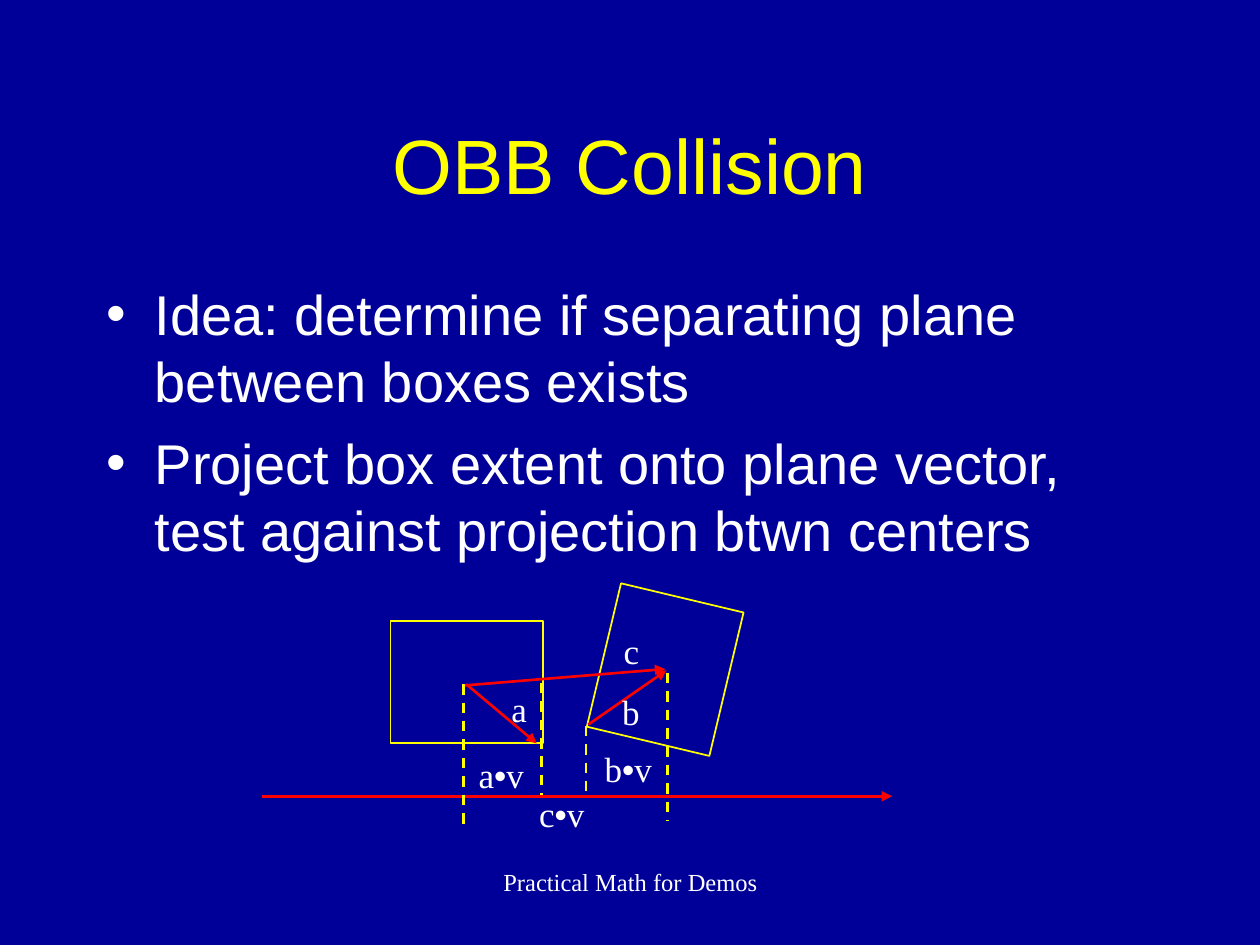
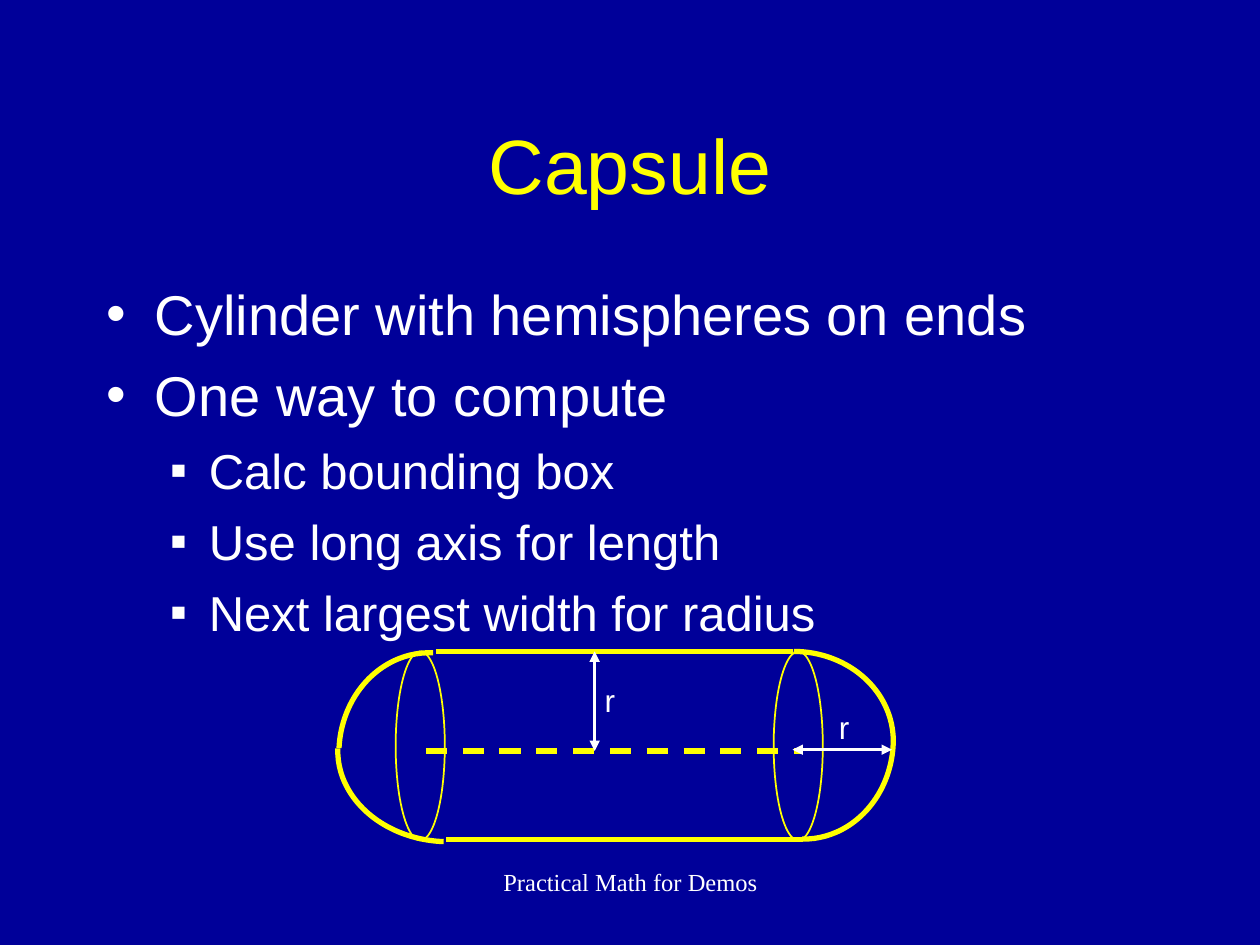
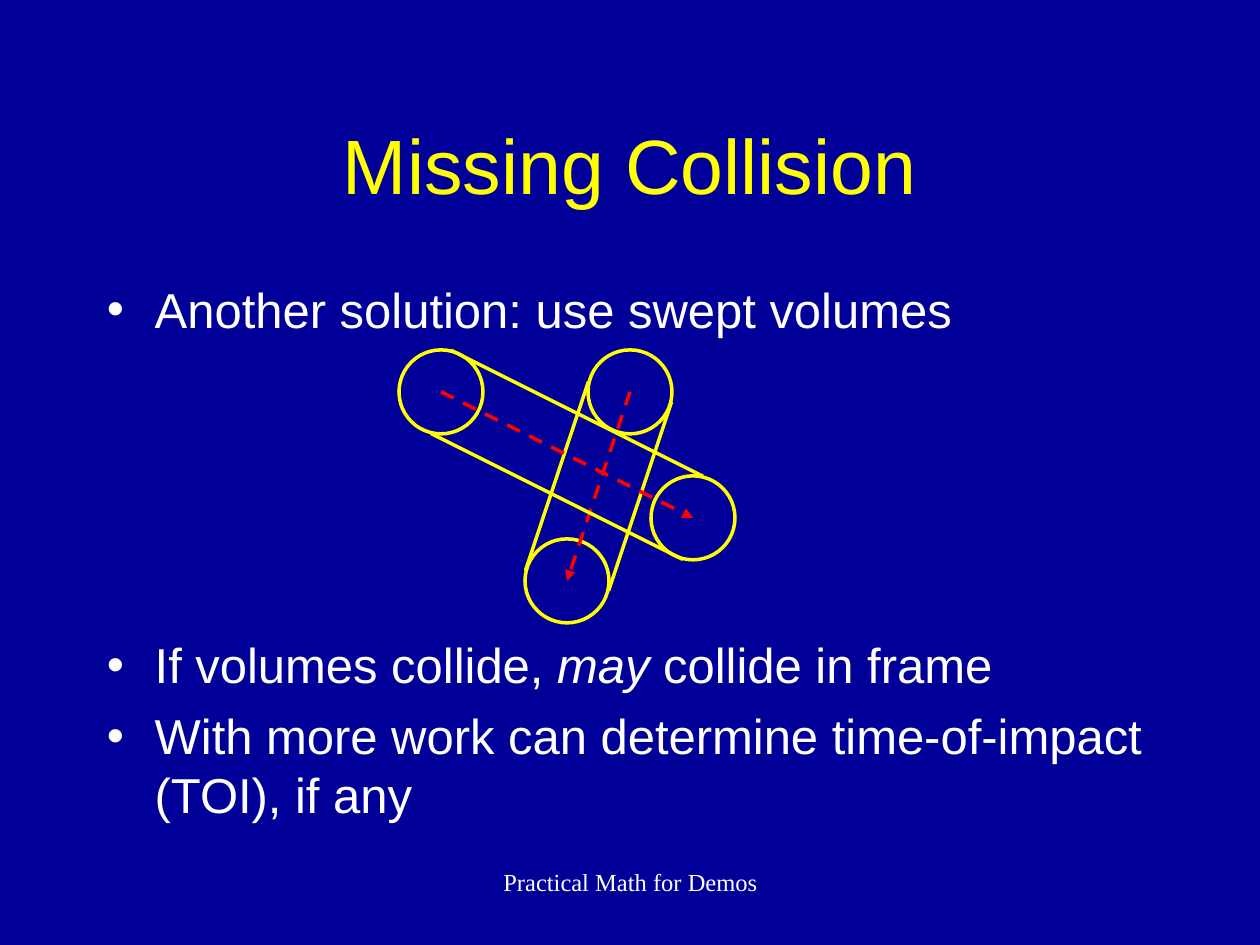
from dataclasses import dataclass

from lxml import etree
from pptx import Presentation, util as u
from pptx.dml.color import RGBColor
from pptx.enum import dml, shapes, text
from pptx.oxml.ns import qn


@dataclass(frozen=True)
class Theme:
    navy: str = "000099"
    yellow: str = "FFFF00"
    white: str = "FFFFFF"
    red: str = "FF0000"
    sans: str = "Arial"
    serif: str = "Times New Roman"
    title: int = 44
    body: int = 32
    sub: int = 28
    symbol: int = 20
    radius: int = 18
    footer: int = 14


T = Theme()
CENTER = text.PP_ALIGN.CENTER
TITLE = dict(size=T.title, name=T.sans, color=T.yellow, align=CENTER)
BODY = dict(size=T.body, name=T.sans, color=T.white, before=8,
            bullet="•", margin=0.38, hang=0.38)
COMPACT = dict(BODY, size=T.sub, before=7)
SUB = dict(COMPACT, bullet="▪", margin=0.81, hang=0.31, level=1)
SYMBOL = dict(size=T.symbol, name=T.serif, color=T.white, before=12.5)
RADIUS = dict(size=T.radius, name=T.sans, color=T.white, before=11.2)
FOOTER = dict(size=T.footer, name=T.serif, color=T.white, before=8.8, align=CENTER)


def add_text(s, box, paragraphs, **frame):
    """Add a text box of (style, runs) paragraphs; a run is (text, font changes)."""
    tf = s.shapes.add_textbox(*map(u.Inches, box)).text_frame
    for key, value in {"word_wrap": True, **frame}.items():
        setattr(tf, key, value)
    for i, (style, runs) in enumerate(paragraphs):
        p = tf.paragraphs[0] if i == 0 else tf.add_paragraph()
        p.level = style.get("level", 0)
        p.alignment = style.get("align", text.PP_ALIGN.LEFT)
        p.space_before = u.Pt(style.get("before", 0))
        if "bullet" in style:
            pPr = p._p.get_or_add_pPr()
            pPr.set("marL", str(u.Inches(style["margin"])))
            pPr.set("indent", str(-u.Inches(style["hang"])))
            clr = etree.SubElement(pPr, qn("a:buClr"))
            etree.SubElement(clr, qn("a:srgbClr"), val=style["color"])
            etree.SubElement(pPr, qn("a:buFont"), typeface=T.sans)
            etree.SubElement(pPr, qn("a:buChar"), char=style["bullet"])
        for words, changes in runs:
            r = p.add_run()
            r.text = words
            font = {"name": style["name"], "size": u.Pt(style["size"]), **changes}
            for key, value in font.items():
                setattr(r.font, key, value)
            r.font.color.rgb = RGBColor.from_string(style["color"])


def set_line(sp, color, width, dash=False, arrows=()):
    sp.line.color.rgb = RGBColor.from_string(color)
    sp.line.width = u.Pt(width)
    if dash:
        sp.line.dash_style = dml.MSO_LINE.DASH
    ln = sp.element.spPr.find(qn("a:ln"))
    for end in arrows:
        etree.SubElement(ln, qn(f"a:{end}"), type="triangle")


RECT = shapes.MSO_SHAPE.RECTANGLE
OVAL = shapes.MSO_SHAPE.OVAL
ARC = shapes.MSO_SHAPE.ARC
TAIL, BOTH = ["tailEnd"], ["headEnd", "tailEnd"]

thin = dict(color=T.yellow, width=1)
thick = dict(color=T.yellow, width=3)
vector = dict(color=T.red, width=1.5, arrows=TAIL)
projection = dict(color=T.yellow, width=1.5, dash=True)
measure = dict(color=T.white, width=1.5, arrows=BOTH)
volume = dict(color=T.yellow, width=2)
motion = dict(color=T.red, width=2, dash=True, arrows=TAIL)

# Each outline is (shape, box, rotation, line); each line is (ends, line);
# each label is (left, top, width, style, words).
obb = dict(
    title="OBB Collision",
    body=[(BODY, [("Idea: determine if separating plane between boxes exists", {})]),
          (BODY, [("Project box extent onto plane vector, "
                   "test against projection btwn centers", {})])],
    outlines=[(RECT, (3.1, 4.93, 1.21, 0.97), 0, thin),
              (RECT, (4.78, 4.73, 1, 1.17), 13.4, thin)],
    lines=[((2.08, 6.32, 7.08, 6.32), vector),
           ((3.7, 5.43, 4.26, 5.9), vector),
           ((4.67, 5.75, 5.29, 5.32), vector),
           ((3.68, 5.43, 3.68, 6.55), projection),
           ((4.3, 5.42, 4.3, 6.31), projection),
           ((4.65, 5.76, 4.65, 6.3), projection),
           ((5.3, 5.34, 5.3, 6.52), projection),
           ((3.69, 5.44, 5.28, 5.31), vector)],
    labels=[(4.18, 6.24, 0.57, SYMBOL, "c•v"), (4.7, 5.88, 0.59, SYMBOL, "b•v"),
            (3.7, 5.93, 0.57, SYMBOL, "a•v"), (3.96, 5.41, 0.32, SYMBOL, "a"),
            (4.84, 5.43, 0.34, SYMBOL, "b"), (4.85, 4.95, 0.32, SYMBOL, "c")])

capsule = dict(
    title="Capsule",
    body=[(BODY, [("Cylinder with hemispheres on ends", {})]),
          (BODY, [("One way to compute", {})]),
          (SUB, [("Calc bounding box", {})]),
          (SUB, [("Use long axis for length", {})]),
          (SUB, [("Next largest width for radius", {})])],
    outlines=[(ARC, (5.51, 5.17, 1.58, 1.42), 0, thick),
              (ARC, (5.59, 5.16, 1.58, 1.42), 90.9, thick),
              (ARC, (2.68, 5.26, 1.73, 1.42), 182, thick),
              (ARC, (2.61, 5.26, 1.58, 1.42), 272.7, thick),
              (OVAL, (3.14, 5.17, 0.39, 1.5), 0, thin),
              (OVAL, (6.14, 5.17, 0.39, 1.5), 0, thin)],
    lines=[((6.29, 5.17, 3.46, 5.17), thick),
           ((6.37, 6.66, 3.54, 6.66), thick),
           ((3.38, 5.96, 6.37, 5.96), dict(thick, dash=True)),
           ((4.72, 5.17, 4.72, 5.96), measure),
           ((7.08, 5.95, 6.29, 5.95), measure)],
    labels=[(4.7, 5.36, 0.28, RADIUS, "r"), (6.56, 5.57, 0.28, RADIUS, "r")])

# The second bullet leaves room for the drawing above it.
missing = dict(
    title="Missing Collision",
    body=[(COMPACT, [("Another solution: use swept volumes", {})]),
          (dict(COMPACT, before=169.4), [("If volumes collide, ", {}),
                                         ("may", {"italic": True}),
                                         (" collide in frame", {})]),
          (COMPACT, [("With more work can determine time-of-impact (TOI), if any", {})])],
    outlines=[], lines=[], labels=[])

# A sweep is a start centre, an end centre and the offset of its side lines.
ball = 1 / 3
sweeps = [((5, 3.11), (4.5, 4.61), (0.33, 0.08)),
          ((3.5, 3.11), (5.5, 4.11), (0.08, -0.33))]
for (x1, y1), (x2, y2), (dx, dy) in sweeps:
    for x, y in ((x1, y1), (x2, y2)):
        box = (x - ball, y - ball, 2 * ball, 2 * ball)
        missing["outlines"].append((OVAL, box, 0, volume))
    missing["lines"].append(((x1, y1, x2, y2), motion))
    for side in (-1, 1):
        ox, oy = side * dx, side * dy
        missing["lines"].append(((x1 + ox, y1 + oy, x2 + ox, y2 + oy), volume))

prs = Presentation()
prs.slide_width, prs.slide_height = u.Inches(10), u.Inches(7.5)
bg = prs.slide_master.background.fill
bg.solid()
bg.fore_color.rgb = RGBColor.from_string(T.navy)

for page in (obb, capsule, missing):
    s = prs.slides.add_slide(prs.slide_layouts[6])
    add_text(s, (0.75, 0.67, 8.5, 1.25), [(TITLE, [(page["title"], {})])],
             vertical_anchor=text.MSO_ANCHOR.MIDDLE)
    add_text(s, (0.75, 2.17, 8.5, 4.5), page["body"])
    for kind, box, rotation, line in page["outlines"]:
        sp = s.shapes.add_shape(kind, *map(u.Inches, box))
        sp.rotation = rotation
        sp.shadow.inherit = False
        sp.fill.background()
        set_line(sp, **line)
    for ends, line in page["lines"]:
        cn = s.shapes.add_connector(shapes.MSO_CONNECTOR.STRAIGHT, *map(u.Inches, ends))
        set_line(cn, **line)
        etree.SubElement(cn.element.spPr, qn("a:effectLst"))
    for left, top, width, style, words in page["labels"]:
        runs = [(ch, {"name": T.sans} if ch == "•" else {}) for ch in words]
        height = 0.44 if style is SYMBOL else 0.4
        add_text(s, (left, top, width, height), [(style, runs)], word_wrap=False,
                 auto_size=text.MSO_AUTO_SIZE.SHAPE_TO_FIT_TEXT)
    add_text(s, (3.42, 6.83, 3.17, 0.5), [(FOOTER, [("Practical Math for Demos", {})])])

prs.save("out.pptx")
